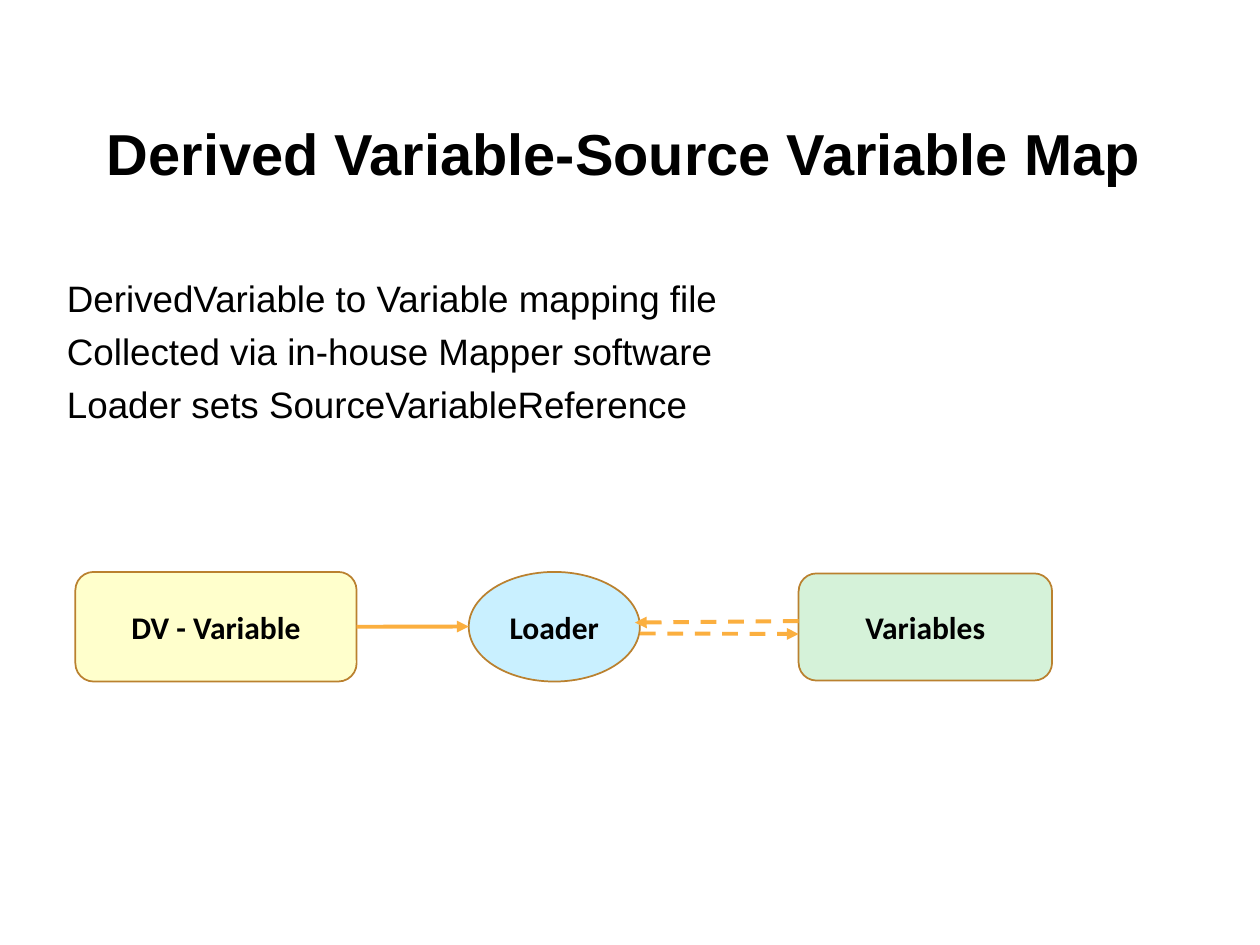
from lxml.etree import SubElement
from pptx import Presentation
from pptx.dml.color import RGBColor
from pptx.enum.dml import MSO_LINE
from pptx.enum.shapes import MSO_CONNECTOR, MSO_SHAPE
from pptx.enum.text import MSO_ANCHOR, MSO_AUTO_SIZE, PP_ALIGN
from pptx.oxml.ns import qn
from pptx.util import Cm, Pt


def color(value):
    return RGBColor.from_string(value)


def write(shape, lines, frame_format, paragraph_format, font_format):
    frame = shape.text_frame
    frame.text = "\n".join(lines)
    for name, value in frame_format.items():
        setattr(frame, name, value)
    for index, paragraph in enumerate(frame.paragraphs):
        for name, value in paragraph_format.items():
            if index or name != "space_before":
                setattr(paragraph, name, value)
        for name, value in font_format.items():
            setattr(paragraph.font, name, value)
        paragraph.font.color.rgb = color("000000")


presentation = Presentation()
presentation.slide_width = Cm(25.4)
presentation.slide_height = Cm(19.05)
slide = presentation.slides.add_slide(presentation.slide_layouts[5])

title = slide.shapes.title
title.left, title.top, title.width, title.height = Cm(1.9), Cm(1.12), Cm(21.6), Cm(4.09)
write(
    title,
    ["Derived Variable-Source Variable Map"],
    {"vertical_anchor": MSO_ANCHOR.MIDDLE, "auto_size": MSO_AUTO_SIZE.NONE, "word_wrap": True},
    {"alignment": PP_ALIGN.LEFT, "line_spacing": 0.9},
    {"name": "Arial", "size": Pt(33), "bold": True},
)

body = slide.shapes.add_textbox(Cm(1.1), Cm(5.54), Cm(23.19), Cm(8.79))
write(
    body,
    [
        "DerivedVariable to Variable mapping file",
        "Collected via in-house Mapper software",
        "Loader sets SourceVariableReference",
    ],
    {"vertical_anchor": MSO_ANCHOR.TOP, "word_wrap": True},
    {"alignment": PP_ALIGN.LEFT, "line_spacing": 0.9, "space_before": Pt(7.5)},
    {"name": "Arial", "size": Pt(21)},
)

nodes = {}
for label, preset, left, top, width, height, fill in [
    ("DV - Variable", MSO_SHAPE.ROUNDED_RECTANGLE, 1.52, 11.53, 5.67, 2.21, "FFFFCC"),
    ("Loader", MSO_SHAPE.OVAL, 9.45, 11.53, 3.45, 2.21, "C9F0FF"),
    ("Variables", MSO_SHAPE.ROUNDED_RECTANGLE, 16.1, 11.56, 5.11, 2.16, "D5F2D9"),
]:
    node = slide.shapes.add_shape(preset, Cm(left), Cm(top), Cm(width), Cm(height))
    node.shadow.inherit = False
    node.fill.solid()
    node.fill.fore_color.rgb = color(fill)
    node.line.color.rgb = color("BA812F")
    node.line.width = Pt(1)
    write(
        node,
        [label],
        {"vertical_anchor": MSO_ANCHOR.MIDDLE, "word_wrap": True},
        {"alignment": PP_ALIGN.CENTER},
        {"name": "Calibri", "size": Pt(18), "bold": True},
    )
    nodes[label] = node

arrows = []
for start_x, start_y, end_x, end_y, dash in [
    (7.19, 12.63, 9.45, 12.63, MSO_LINE.SOLID),
    (16.1, 12.52, 12.8, 12.55, MSO_LINE.DASH),
    (12.9, 12.77, 16.1, 12.78, MSO_LINE.DASH),
]:
    arrow = slide.shapes.add_connector(
        MSO_CONNECTOR.STRAIGHT, Cm(start_x), Cm(start_y), Cm(end_x), Cm(end_y)
    )
    arrow.line.color.rgb = color("FBAF3F")
    arrow.line.width = Pt(2.25)
    arrow.line.dash_style = dash
    SubElement(arrow.line._get_or_add_ln(), qn("a:tailEnd"), type="triangle")
    SubElement(arrow._element.spPr, qn("a:effectLst"))
    arrows.append(arrow)
arrows[0].begin_connect(nodes["DV - Variable"], 3)

presentation.save("out.pptx")
